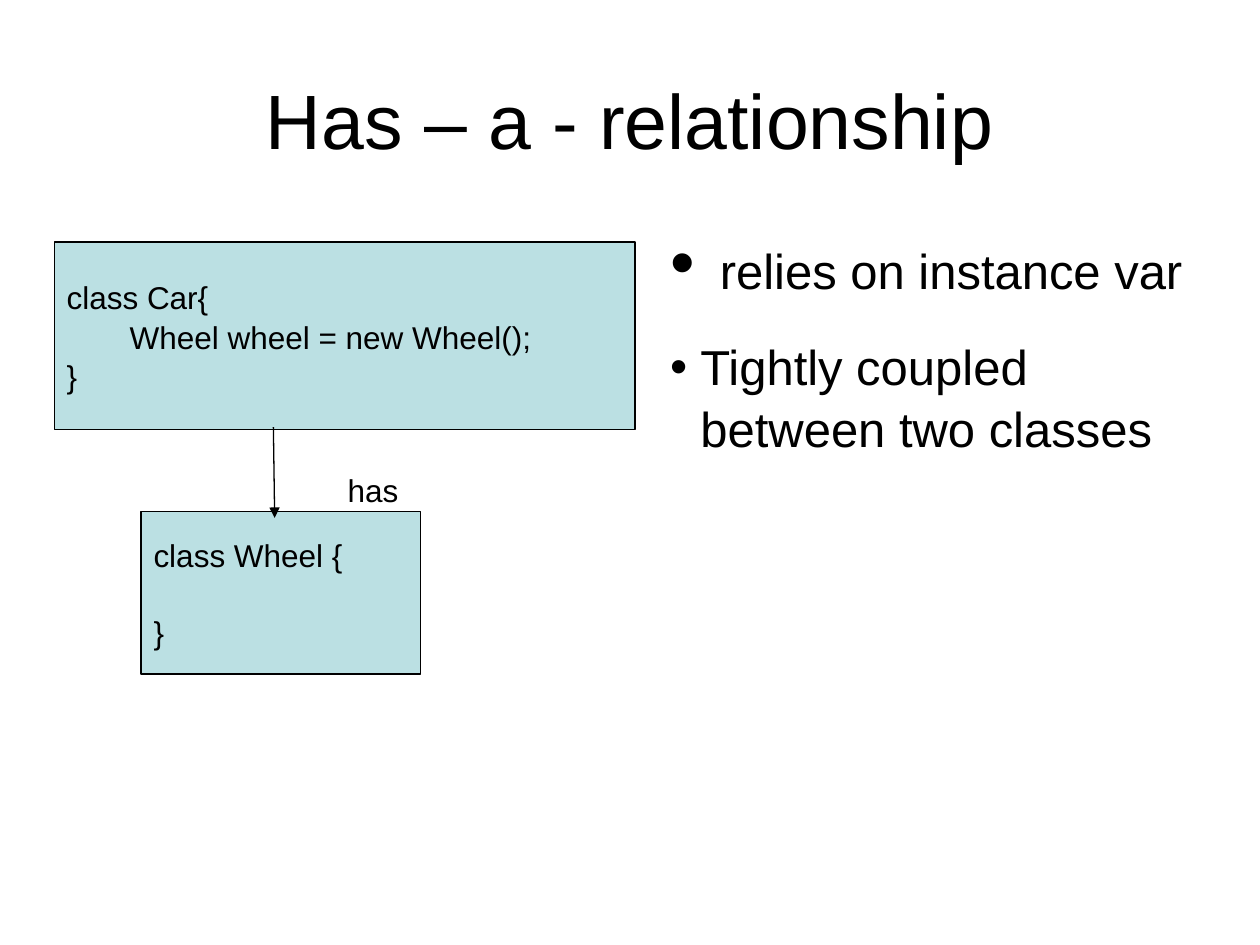
from dataclasses import dataclass

from lxml.etree import SubElement
from pptx import Presentation
from pptx.dml.color import RGBColor
from pptx.enum.shapes import MSO_CONNECTOR, MSO_SHAPE
from pptx.enum.text import MSO_ANCHOR, PP_ALIGN
from pptx.oxml.ns import qn
from pptx.util import Inches, Pt

COLORS = {"ink": "000000", "class_fill": "BBE0E3"}
FONT = "Arial"
COLUMNS, ROWS = 100, 75
LINE_SPACING = 1.04
CODE_SIZE, BULLET_SIZE, BULLET_LEAD_SIZE = 18, 28, 40


@dataclass(frozen=True)
class Area:
    column: float
    row: float
    columns: float
    rows: float


@dataclass(frozen=True)
class ClassBox:
    area: Area
    code: str
    closing_gap: float = 0


CLASSES = (
    ClassBox(Area(4.3, 19.2, 46.1, 14.9), "class Car{\n\tWheel wheel = new Wheel();\n}"),
    ClassBox(Area(11.2, 40.6, 22.2, 12.9), "class Wheel {\n}", closing_gap=21.5),
)
BULLETS = (
    ((" ", BULLET_LEAD_SIZE), ("relies on instance var", BULLET_SIZE)),
    (("Tightly coupled between two classes", BULLET_SIZE),),
)

prs = Presentation()
prs.slide_width, prs.slide_height = Inches(10), Inches(7.5)
slide = prs.slides.add_slide(prs.slide_layouts[5])


def x(column: float) -> int:
    return round(prs.slide_width * column / COLUMNS)


def y(row: float) -> int:
    return round(prs.slide_height * row / ROWS)


def place(area: Area) -> tuple[int, int, int, int]:
    return x(area.column), y(area.row), x(area.columns), y(area.rows)


def color(name: str) -> RGBColor:
    return RGBColor.from_string(COLORS[name])


def style_run(run, size: float) -> None:
    run.font.name = FONT
    run.font.size = Pt(size)
    run.font.color.rgb = color("ink")


def style_text(frame, size: float, align=PP_ALIGN.LEFT) -> None:
    frame.word_wrap = True
    for paragraph in frame.paragraphs:
        paragraph.alignment = align
        paragraph.line_spacing = LINE_SPACING
        for run in paragraph.runs:
            style_run(run, size)


def draw_title(words: str, area: Area) -> None:
    title = slide.shapes.title
    title.left, title.top, title.width, title.height = place(area)
    title.text_frame.text = words
    title.text_frame.vertical_anchor = MSO_ANCHOR.MIDDLE
    style_text(title.text_frame, 44, PP_ALIGN.CENTER)


def draw_class(box: ClassBox) -> None:
    body = slide.shapes.add_shape(MSO_SHAPE.RECTANGLE, *place(box.area))
    body.shadow.inherit = False
    body.fill.solid()
    body.fill.fore_color.rgb = color("class_fill")
    body.line.color.rgb = color("ink")
    body.line.width = Pt(0.75)
    frame = body.text_frame
    frame.text = box.code
    frame.vertical_anchor = MSO_ANCHOR.MIDDLE
    style_text(frame, CODE_SIZE)
    frame.paragraphs[-1].space_before = Pt(box.closing_gap)


def draw_arrow(start: tuple[float, float], end: tuple[float, float]) -> None:
    arrow = slide.shapes.add_connector(
        MSO_CONNECTOR.STRAIGHT, x(start[0]), y(start[1]), x(end[0]), y(end[1])
    )
    arrow.line.color.rgb = color("ink")
    arrow.line.width = Pt(0.75)
    SubElement(arrow.line._get_or_add_ln(), qn("a:tailEnd"), type="triangle")
    SubElement(arrow._element.spPr, qn("a:effectLst"))


def draw_label(words: str, area: Area) -> None:
    frame = slide.shapes.add_textbox(*place(area)).text_frame
    frame.text = words
    style_text(frame, CODE_SIZE)


def draw_bullets(area: Area) -> None:
    frame = slide.shapes.add_textbox(*place(area)).text_frame
    frame.word_wrap = True
    for index, parts in enumerate(BULLETS):
        paragraph = frame.add_paragraph() if index else frame.paragraphs[0]
        paragraph.line_spacing = LINE_SPACING
        paragraph.space_before = Pt(17.5)
        properties = paragraph._p.get_or_add_pPr()
        indent = Inches(0.24)
        properties.set("marL", str(indent))
        properties.set("indent", str(-indent))
        bullet_color = SubElement(properties, qn("a:buClr"))
        SubElement(bullet_color, qn("a:srgbClr"), val=COLORS["ink"])
        SubElement(properties, qn("a:buFont"), typeface=FONT)
        SubElement(properties, qn("a:buChar"), char="•")
        for words, size in parts:
            run = paragraph.add_run()
            run.text = words
            style_run(run, size)


def main() -> None:
    draw_title("Has – a - relationship", Area(5, 3, 90, 12.5))
    for box in CLASSES:
        draw_class(box)
    draw_arrow((21.7, 33.9), (21.8, 41.1))
    draw_label("has", Area(26.6, 36.8, 7.8, 4))
    draw_bullets(Area(52.2, 16.7, 44.1, 19.5))
    prs.save("out.pptx")


if __name__ == "__main__":
    main()
